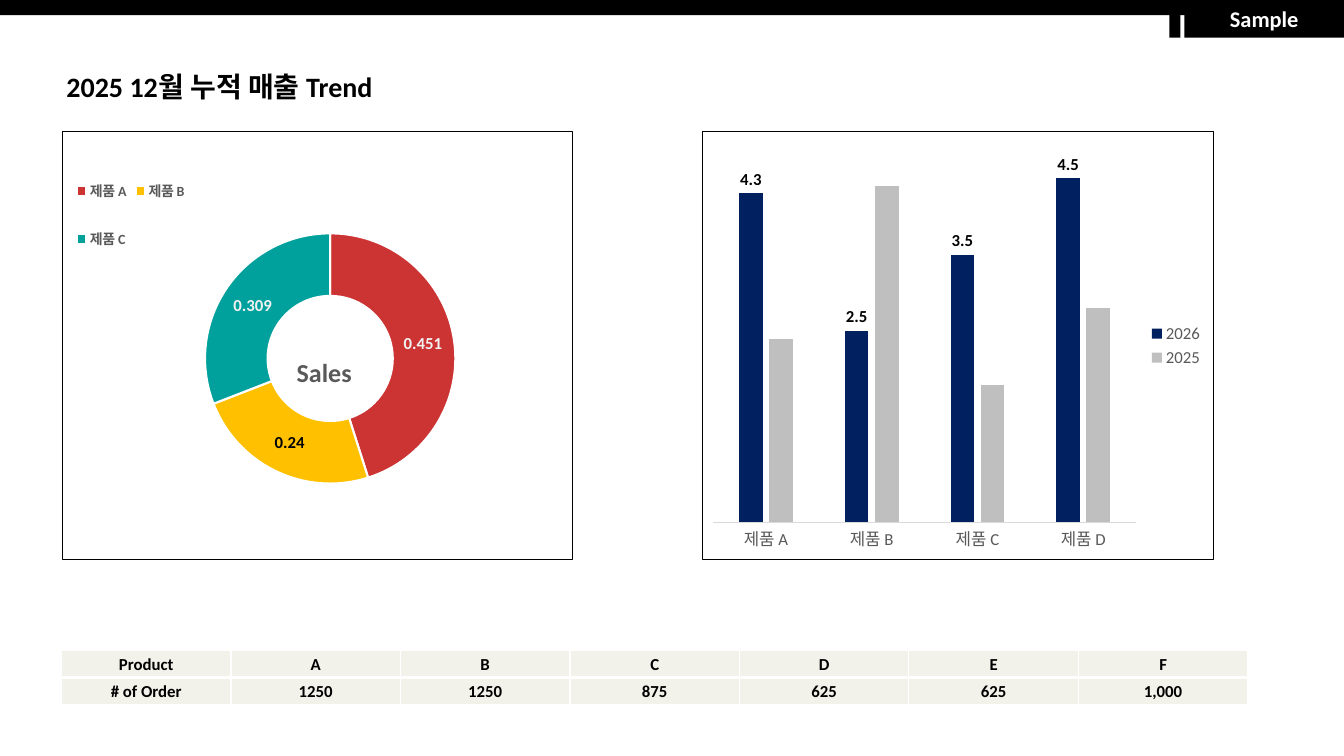
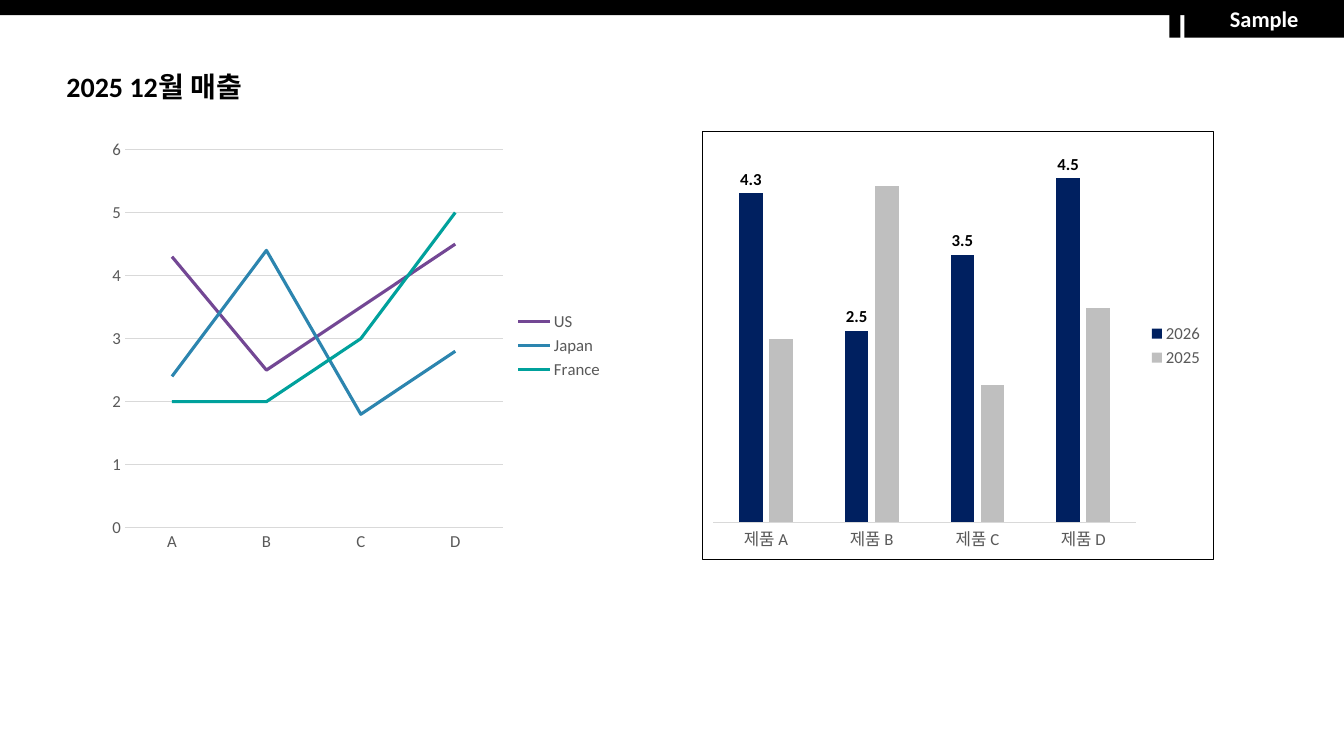
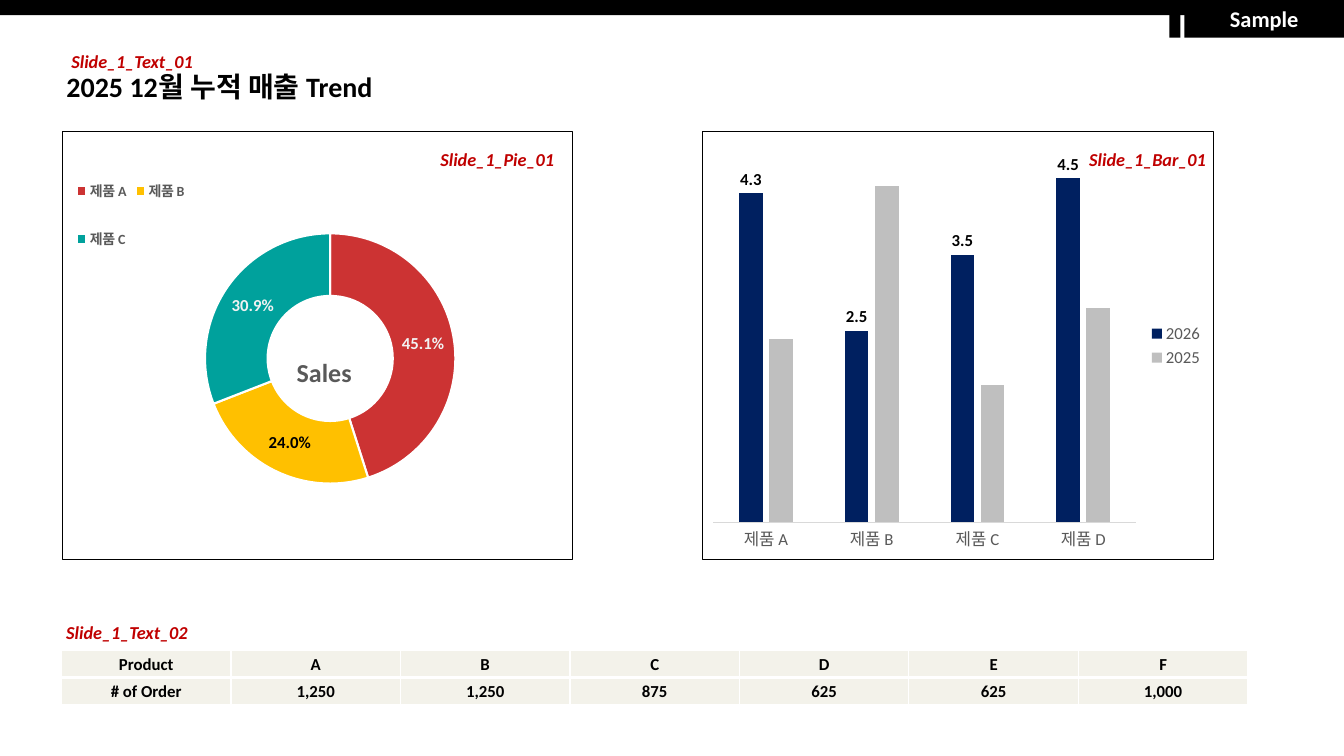
from collections import namedtuple

from pptx import Presentation
from pptx.chart.data import CategoryChartData
from pptx.dml.color import RGBColor
from pptx.enum.chart import XL_CHART_TYPE, XL_LABEL_POSITION, XL_LEGEND_POSITION, XL_TICK_MARK
from pptx.enum.shapes import MSO_SHAPE
from pptx.enum.text import MSO_ANCHOR, MSO_AUTO_SIZE, PP_ALIGN
from pptx.oxml import parse_xml
from pptx.oxml.ns import nsdecls, qn
from pptx.util import Cm, Pt

DOUGHNUT = XL_CHART_TYPE.DOUGHNUT
COLUMN = XL_CHART_TYPE.COLUMN_CLUSTERED
LINE = XL_CHART_TYPE.LINE
LEGEND_TOP = XL_LEGEND_POSITION.TOP
LEGEND_RIGHT = XL_LEGEND_POSITION.RIGHT
OUTSIDE_END = XL_LABEL_POSITION.OUTSIDE_END
NO_TICK = XL_TICK_MARK.NONE
RECTANGLE = MSO_SHAPE.RECTANGLE
MIDDLE = MSO_ANCHOR.MIDDLE
LEFT, CENTER = PP_ALIGN.LEFT, PP_ALIGN.CENTER
NO_AUTO_SIZE = MSO_AUTO_SIZE.NONE

COLORS = {
    "black": "000000",
    "white": "FFFFFF",
    "red": "C00000",
    "amber": "FFC000",
    "teal": "00A19C",
    "navy": "002060",
    "silver": "BFBFBF",
    "purple": "734794",
    "blue": "2C85AF",
    "gray": "595959",
    "rule": "D9D9D9",
    "pale": "F2F2F2",
    "sand": "E2DFCC",
}
FONT = "Calibri"
KOREAN_FONT = "Noto Sans CJK KR"
TITLE_ONLY = 5

Box = namedtuple("Box", "left top width height")
SLIDE_WIDTH, SLIDE_HEIGHT = 33.87, 19.05
BAND = Box(0, 0, SLIDE_WIDTH, 0.38)
TAB = Box(29.85, 0, 4.02, 0.95)
STRIPE = Box(29.47, 0, 0.28, 0.95)
TITLE = Box(1.42, 1.83, 26.01, 0.81)
PIE = Box(1.55, 3.3, 12.9, 10.82)
BAR = PIE._replace(left=17.7)
TREND = PIE._replace(left=2.57)
ORDERS = Box(1.55, 16.38, 29.9, 1.38)

PRODUCTS = ["제품 A", "제품 B", "제품 C", "제품 D"]
SHARES = [0.451, 0.24, 0.309]
SALES_2026 = [4.3, 2.5, 3.5, 4.5]
SALES_2025 = [2.4, 4.4, 1.8, 2.8]


def rgb(name):
    return RGBColor.from_string(COLORS[name])


def lengths(box):
    return [Cm(value) for value in box]


def format_font(font, size=12, color="black", bold=False, italic=False):
    font.name = FONT
    font.size = Pt(size)
    font.bold = bold
    font.italic = italic
    font.color.rgb = rgb(color)


def write_text(text_frame, text, align=LEFT, spacing=None, **font_format):
    paragraph = text_frame.paragraphs[0]
    paragraph.alignment = align
    paragraph.line_spacing = spacing
    run = paragraph.add_run()
    run.text = text
    format_font(run.font, **font_format)


def format_line(line, color, width):
    line.color.rgb = rgb(color)
    line.width = Pt(width)


def set_opacity(element, color, percent):
    """Make every use of the colour inside the element partly transparent."""
    for node in element.iter(qn("a:srgbClr")):
        if node.get("val") == COLORS[color]:
            node.append(parse_xml(f'<a:alpha {nsdecls("a")} val="{percent * 1000}"/>'))


# Shared frame and text


def add_block(slide, box, color="black"):
    shape = slide.shapes.add_shape(RECTANGLE, *lengths(box))
    shape.shadow.inherit = False
    shape.fill.solid()
    shape.fill.fore_color.rgb = rgb(color)
    shape.line.fill.background()
    return shape


def move_header_to_layout(slide):
    """Build the header on a slide and hand it to the layout all slides use."""
    band, tab, stripe = [add_block(slide, box) for box in (BAND, TAB, STRIPE)]
    tab.text_frame.vertical_anchor = MIDDLE
    write_text(tab.text_frame, "Sample", CENTER, size=16, color="white", bold=True)
    for shape in (band, tab, stripe):
        slide.slide_layout.shapes.element.append(shape.element)


def set_title(slide, text):
    title = slide.shapes.title
    title.left, title.top, title.width, title.height = lengths(TITLE)
    title.text_frame.auto_size = NO_AUTO_SIZE
    title.text_frame.vertical_anchor = MIDDLE
    write_text(title.text_frame, text, spacing=0.9, size=20, bold=True)
    for properties in title.element.iter(qn("a:rPr")):
        properties.append(parse_xml(f'<a:ea {nsdecls("a")} typeface="{KOREAN_FONT}"/>'))


def add_tag(slide, text, box, right, down):
    """Label an area, shifted from the top left corner of its box."""
    tag = slide.shapes.add_textbox(*lengths((box.left + right, box.top + down, 3.71, 0.81)))
    tag.text_frame.word_wrap = True
    tag.text_frame.vertical_anchor = MIDDLE
    write_text(tag.text_frame, text, spacing=0.9, size=13, color="red", bold=True, italic=True)


# Charts


def add_chart(slide, box, kind, categories, series, number_format="General", border=True):
    data = CategoryChartData(number_format=number_format)
    data.categories = categories
    for name, values in series:
        data.add_series(name, values)
    chart = slide.shapes.add_chart(kind, *lengths(box), data).chart
    chart.has_title = False
    format_font(chart.font, size=10)
    outline = f'<a:solidFill><a:srgbClr val="{COLORS["black"]}"/></a:solidFill>'
    chart.element.find(qn("c:chart")).addnext(parse_xml(
        f'<c:spPr {nsdecls("c", "a")}><a:noFill/><a:ln w="{Pt(0.75)}">'
        f'{outline if border else "<a:noFill/>"}</a:ln></c:spPr>'))
    return chart


def add_legend(chart, position, **font_format):
    chart.has_legend = True
    chart.legend.position = position
    chart.legend.include_in_layout = False
    format_font(chart.legend.font, color="gray", **font_format)


def place_part(part, index, target="", **fractions):
    """Fix the place of a chart part, in fractions of the chart."""
    for layout in part.findall(qn("c:layout")):
        part.remove(layout)
    target = f'<c:layoutTarget val="{target}"/>' if target else ""
    modes = "".join(f'<c:{key}Mode val="edge"/>' for key in fractions if key in "xy")
    values = "".join(f'<c:{key} val="{value}"/>' for key, value in fractions.items())
    part.insert(index, parse_xml(
        f'<c:layout {nsdecls("c")}><c:manualLayout>{target}{modes}{values}'
        "</c:manualLayout></c:layout>"))


def format_category_axis(chart):
    axis = chart.category_axis
    axis.major_tick_mark = NO_TICK
    format_font(axis.tick_labels.font, color="gray")
    format_line(axis.format.line, "rule", 0.75)


def add_share_doughnut(slide, box, number_format):
    chart = add_chart(slide, box, DOUGHNUT, PRODUCTS[:3], [("Sales", SHARES)], number_format)
    chart.plots[0].vary_by_categories = True
    series = chart.plots[0].series[0]
    for index, color in enumerate(["red", "amber", "teal"]):
        point = series.points[index]
        point.format.fill.solid()
        point.format.fill.fore_color.rgb = rgb(color)
        format_line(point.format.line, "white", 1.5)
    set_opacity(chart.element, "red", 80)

    series.data_labels.show_value = True
    format_font(series.data_labels.font, color="pale", bold=True)
    format_font(series.points[1].data_label.font, bold=True)

    write_text(chart.chart_title.text_frame, "Sales", CENTER, size=18.6, color="gray", bold=True)
    title = chart.chart_title.element
    title.find(qn("c:overlay")).set("val", "1")
    place_part(title, 1, x=0.45, y=0.51)
    add_legend(chart, LEGEND_TOP, size=10, bold=True)
    place_part(chart.element.find(".//" + qn("c:legend")), 1, x=0.02, y=0.05, w=0.23, h=0.29)
    place_part(chart.element.find(".//" + qn("c:plotArea")), 0, "inner",
               x=0.28, y=0.19, w=0.49, h=0.68)


def add_sales_columns(slide, box):
    chart = add_chart(slide, box, COLUMN, PRODUCTS, [("2026", SALES_2026), ("2025", SALES_2025)])
    plot = chart.plots[0]
    plot.vary_by_categories = False
    plot.gap_width = 219
    plot.overlap = -27
    for series, color in zip(plot.series, ["navy", "silver"]):
        series.format.fill.solid()
        series.format.fill.fore_color.rgb = rgb(color)
    labels = plot.series[0].data_labels
    labels.show_value = True
    labels.position = OUTSIDE_END
    format_font(labels.font, bold=True)
    format_category_axis(chart)
    chart.value_axis.visible = False
    chart.value_axis.has_major_gridlines = False
    chart.value_axis.minimum_scale = 0
    chart.value_axis.maximum_scale = 5
    add_legend(chart, LEGEND_RIGHT)


def add_country_lines(slide, box):
    countries = [("US", SALES_2026), ("Japan", SALES_2025), ("France", [2, 2, 3, 5])]
    chart = add_chart(slide, box, LINE, list("ABCD"), countries, border=False)
    chart.plots[0].vary_by_categories = False
    for series, color in zip(chart.plots[0].series, ["purple", "blue", "teal"]):
        series.smooth = False
        format_line(series.format.line, color, 2.25)
    format_category_axis(chart)
    axis = chart.value_axis
    axis.major_tick_mark = NO_TICK
    axis.minimum_scale = 0
    axis.maximum_scale = 6
    axis.major_unit = 1
    format_font(axis.tick_labels.font, color="gray")
    axis.format.line.fill.background()
    format_line(axis.major_gridlines.format.line, "rule", 0.75)
    add_legend(chart, LEGEND_RIGHT)


# Table


def set_cell_borders(cell_properties, widths):
    for index, (side, width) in enumerate(widths.items()):
        cell_properties.insert(index, parse_xml(
            f'<a:ln{side} {nsdecls("a")} w="{Pt(width)}"><a:solidFill>'
            f'<a:srgbClr val="{COLORS["white"]}"/></a:solidFill></a:ln{side}>'))


def add_order_table(slide, box, orders):
    rows = [["Product", *"ABCDEF"], ["# of Order", *orders]]
    frame = slide.shapes.add_table(len(rows), len(rows[0]), *lengths(box))
    table = frame.table
    table.first_row = False
    table.horz_banding = False
    for row, texts in zip(table.rows, rows):
        for cell, text in zip(row.cells, texts):
            cell.margin_left = cell.margin_right = cell.margin_top = Cm(0.03)
            cell.margin_bottom = 0
            cell.vertical_anchor = MIDDLE
            cell.fill.solid()
            cell.fill.fore_color.rgb = rgb("sand")
            write_text(cell.text_frame, text, CENTER, bold=True)
    set_opacity(frame.element, "sand", 40)
    borders = [{"L": 1, "R": 1, "T": 1, "B": 3}, {"L": 1, "R": 1, "T": 3, "B": 1}]
    for row, widths in zip(frame.element.iter(qn("a:tr")), borders):
        for cell_properties in row.iter(qn("a:tcPr")):
            set_cell_borders(cell_properties, widths)


# Slides


def build_cumulative_slide(slide, orders, number_format="General"):
    set_title(slide, "2025 12월 누적 매출 Trend")
    add_order_table(slide, ORDERS, orders)
    add_share_doughnut(slide, PIE, number_format)
    add_sales_columns(slide, BAR)


def build_monthly_slide(slide):
    set_title(slide, "2025 12월 매출")
    add_sales_columns(slide, BAR)
    add_country_lines(slide, TREND)


def add_area_tags(slide):
    add_tag(slide, "Slide_1_Text_01", TITLE, 0.13, -0.66)
    add_tag(slide, "Slide_1_Pie_01", PIE, 9.3, 0.33)
    add_tag(slide, "Slide_1_Bar_01", BAR, 9.5, 0.33)
    add_tag(slide, "Slide_1_Text_02", ORDERS, -0.13, -0.81)


def main():
    presentation = Presentation()
    presentation.slide_width = Cm(SLIDE_WIDTH)
    presentation.slide_height = Cm(SLIDE_HEIGHT)
    layout = presentation.slide_layouts[TITLE_ONLY]
    cumulative, monthly, tagged = [presentation.slides.add_slide(layout) for _ in range(3)]
    move_header_to_layout(cumulative)
    later_orders = ["875", "625", "625", "1,000"]
    build_cumulative_slide(cumulative, ["1250", "1250", *later_orders])
    build_monthly_slide(monthly)
    build_cumulative_slide(tagged, ["1,250", "1,250", *later_orders], "0.0%")
    add_area_tags(tagged)
    presentation.save("out.pptx")


if __name__ == "__main__":
    main()
